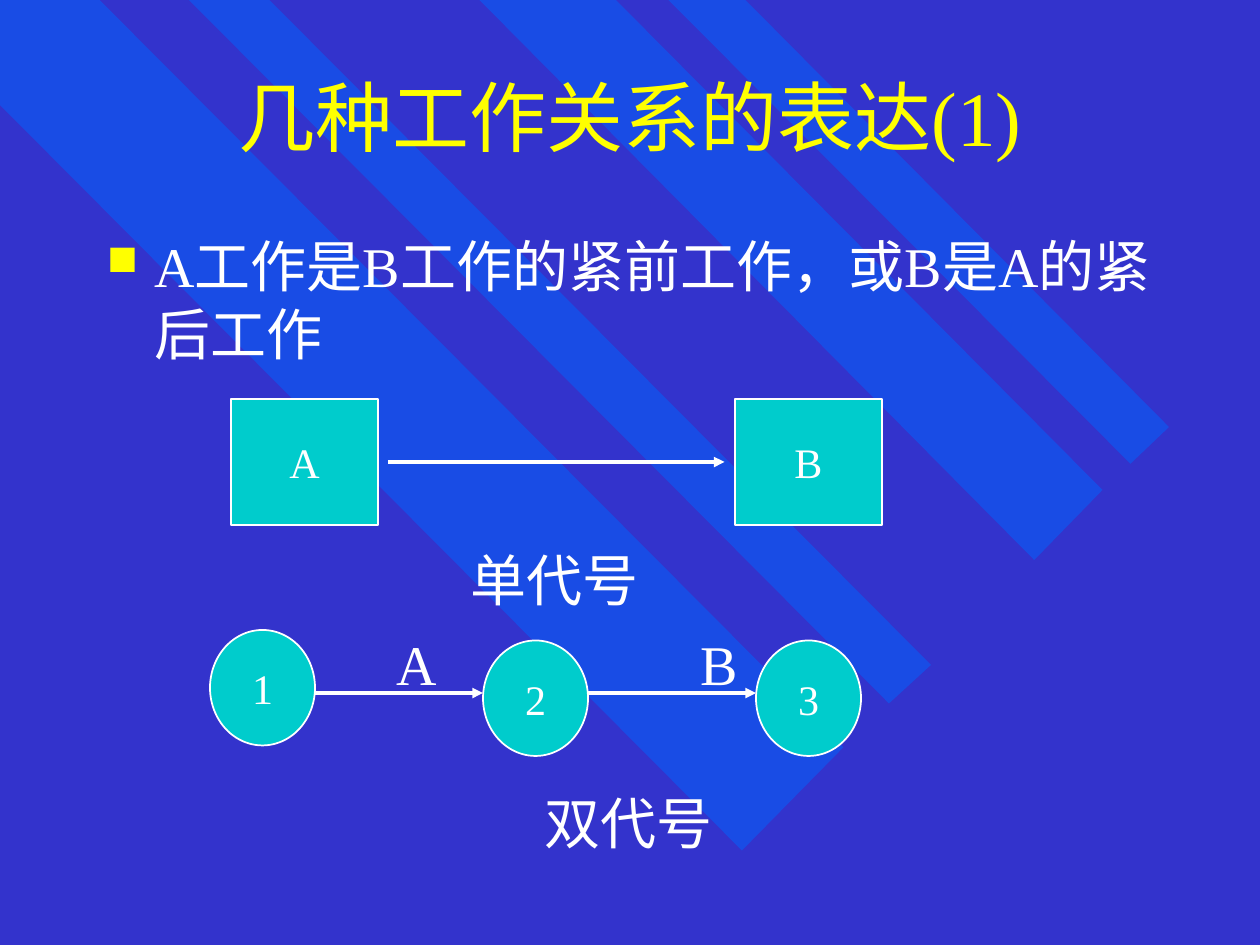
import pptx
import pptx.util
import pptx.dml.color
import pptx.enum.shapes
import pptx.enum.text
import pptx.oxml
import pptx.oxml.ns
import lxml.etree

Pt = pptx.util.Pt
Kind = pptx.enum.shapes.MSO_SHAPE
Align = pptx.enum.text.PP_ALIGN
Anchor = pptx.enum.text.MSO_ANCHOR

theme = {
    "back": "3333CC", "band": "0066FF", "title": "FFFF00",
    "text": "FFFFFF", "node": "00CCCC", "font": "Times New Roman",
    "head": 44, "body": 32, "small": 24,
}
title = "几种工作关系的表达(1)"
body = "A工作是B工作的紧前工作，或B是A的紧后工作"
bands = [
    [(482.5, 427), (57, 0), (0, 0), (0, 60.5), (424, 486)],
    [(154, 0), (531.5, 379.5), (508.5, 402.5), (107.5, 0)],
    [(352, 0), (630.5, 280), (591, 319.5), (273.5, 0)],
    [(381.5, 0), (646, 265), (667.5, 243.5), (425.5, 0)],
]
boxes = [("A", 132), ("B", 420)]
rings = [("1", 120, 360), ("2", 276, 366), ("3", 432, 366)]
arrows = [(222, 414, 264), (180, 276, 396), (336, 432, 396)]
labels = [("单代号", 317, 331), ("A", 238, 379),
          ("B", 411, 379), ("双代号", 359, 470)]


def tint(name):
    return pptx.dml.color.RGBColor.from_string(theme[name])


def paint(shape, name):
    shape.shadow.inherit = False
    shape.fill.solid()
    shape.fill.fore_color.rgb = tint(name)


def write(shape, text, size, hue="text", align=Align.CENTER,
          anchor=Anchor.MIDDLE, wrap=True, mark=False):
    frame = shape.text_frame
    frame.word_wrap = wrap
    frame.vertical_anchor = anchor
    para = frame.paragraphs[0]
    para.text = text
    para.alignment = align
    if mark:
        add_mark(para)
    font = para.font
    font.name = theme["font"]
    font.size = Pt(theme[size])
    font.color.rgb = tint(hue)


def add_mark(para):
    props = para._p.get_or_add_pPr()
    props.set("marL", str(Pt(27)))
    props.set("indent", str(-Pt(27)))
    space = pptx.oxml.ns.nsdecls("a")
    for part in (
        f'<a:buClr {space}><a:srgbClr val="{theme["title"]}"/></a:buClr>',
        f'<a:buSzPct {space} val="75000"/>',
        f'<a:buChar {space} char="■"/>',
    ):
        props.append(pptx.oxml.parse_xml(part))


def add_band(shapes, points):
    maker = shapes.build_freeform(*points[0], scale=Pt(1))
    maker.add_line_segments(points[1:], close=True)
    band = maker.convert_to_shape()
    paint(band, "band")
    band.line.fill.background()
    qn = pptx.oxml.ns.qn
    color = band._element.spPr.find(qn("a:solidFill"))[0]
    lxml.etree.SubElement(color, qn("a:alpha"), val="50000")


def add_node(shapes, kind, text, left, top, wide, high):
    node = shapes.add_shape(kind, Pt(left), Pt(top), Pt(wide), Pt(high))
    paint(node, "node")
    node.line.color.rgb = tint("text")
    node.line.width = Pt(1)
    write(node, text, "small", wrap=False)


def add_arrow(shapes, start, end, level):
    arrow = shapes.add_connector(
        pptx.enum.shapes.MSO_CONNECTOR.STRAIGHT,
        Pt(start), Pt(level), Pt(end), Pt(level))
    arrow.line.color.rgb = tint("text")
    arrow.line.width = Pt(2)
    qn = pptx.oxml.ns.qn
    line = arrow.line._get_or_add_ln()
    lxml.etree.SubElement(line, qn("a:tailEnd"), type="triangle")
    lxml.etree.SubElement(arrow._element.spPr, qn("a:effectLst"))


def main():
    deck = pptx.Presentation()
    deck.slide_width, deck.slide_height = Pt(720), Pt(540)
    slide = deck.slides.add_slide(deck.slide_layouts[6])
    slide.background.fill.solid()
    slide.background.fill.fore_color.rgb = tint("back")
    shapes = slide.shapes
    for points in bands:
        add_band(shapes, points)

    head = shapes.add_textbox(Pt(54), Pt(18), Pt(612), Pt(96))
    write(head, title, "head", "title")
    main_text = shapes.add_textbox(Pt(54), Pt(129), Pt(612), Pt(90))
    write(main_text, body, "body", align=Align.LEFT,
          anchor=Anchor.TOP, mark=True)

    for text, left in boxes:
        add_node(shapes, Kind.RECTANGLE, text, left, 228, 84, 72)
    for text, left, top in rings:
        add_node(shapes, Kind.OVAL, text, left, top, 60, 66)
    for start, end, level in arrows:
        add_arrow(shapes, start, end, level)
    wide, high = 130, 46
    for text, x, y in labels:
        label = shapes.add_textbox(
            Pt(x - wide / 2), Pt(y - high / 2), Pt(wide), Pt(high))
        write(label, text, "body")

    deck.save("out.pptx")


if __name__ == "__main__":
    main()
